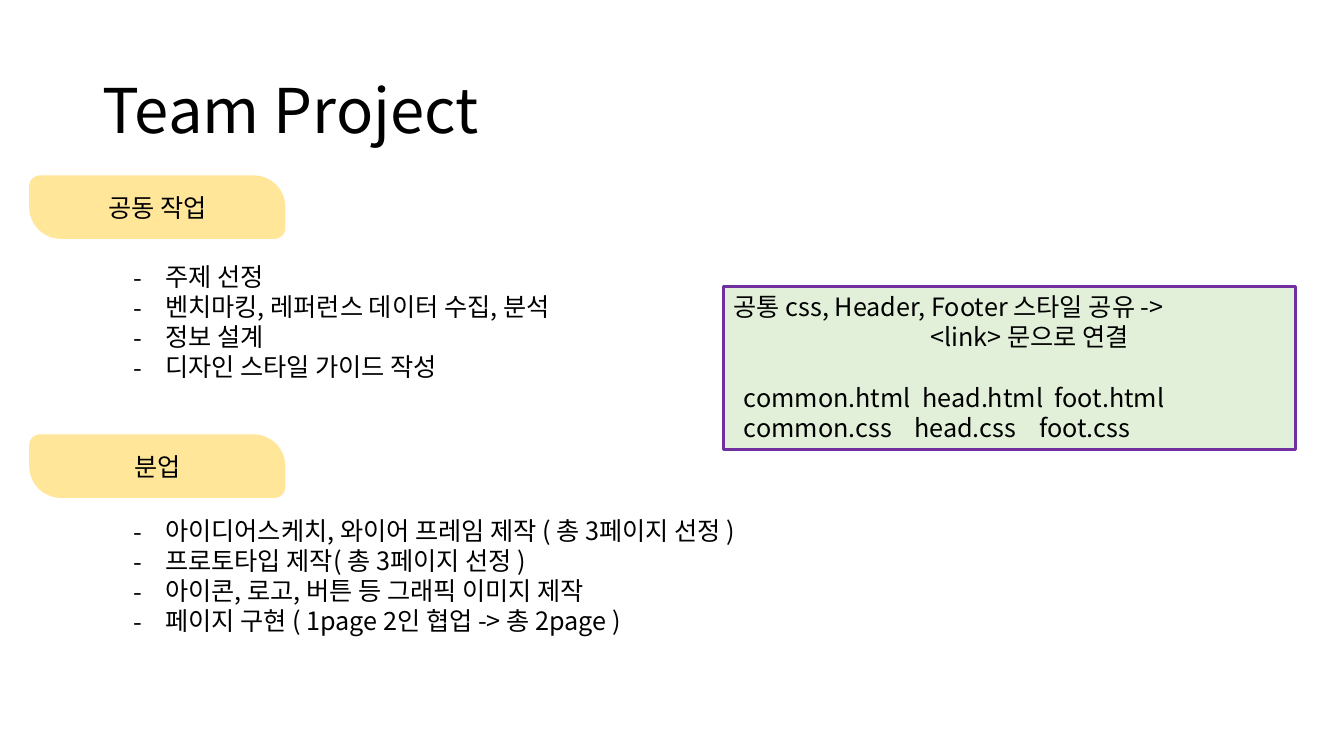
from lxml import etree
from pptx import Presentation
from pptx.dml.color import RGBColor
from pptx.enum.shapes import MSO_SHAPE
from pptx.enum.text import MSO_ANCHOR, MSO_AUTO_SIZE, PP_ALIGN
from pptx.oxml.ns import qn
from pptx.util import Inches, Pt

RECT = MSO_SHAPE.RECTANGLE
LEAF = MSO_SHAPE.ROUND_2_DIAG_RECTANGLE
MIDDLE = MSO_ANCHOR.MIDDLE
GROW = MSO_AUTO_SIZE.SHAPE_TO_FIT_TEXT
LEFT, CENTER = PP_ALIGN.LEFT, PP_ALIGN.CENTER

FONT = "Noto Sans CJK KR"
BLACK = RGBColor(0x00, 0x00, 0x00)
YELLOW = RGBColor(0xFF, 0xE6, 0x99)
GREEN = RGBColor(0xE2, 0xF0, 0xD9)
PURPLE = RGBColor(0x70, 0x30, 0xA0)

SECTIONS = [
    (1.74, 2.54, 4.77, "공동 작업", [
        "주제 선정",
        "벤치마킹, 레퍼런스 데이터 수집, 분석",
        "정보 설계",
        "디자인 스타일 가이드 작성",
    ]),
    (4.31, 5.06, 6.88, "분업", [
        "아이디어스케치, 와이어 프레임 제작 ( 총 3페이지 선정 )",
        "프로토타입 제작( 총 3페이지 선정 )",
        "아이콘, 로고, 버튼 등 그래픽 이미지 제작",
        "페이지 구현 ( 1page 2인 협업 -> 총 2page )",
    ]),
]

SHARED_FILES = [
    ("공통 css, Header, Footer 스타일 공유 ->", []),
    ("\t<link> 문으로 연결", [1.95]),
    ("\tcommon.html\thead.html\tfoot.html", [0.1, 1.87, 3.18]),
    ("\tcommon.css\thead.css\tfoot.css", [0.1, 1.79, 3.03]),
]


def style(p, size=18, align=LEFT):
    p.alignment = align
    for r in p.runs:
        r.font.size = Pt(size)
        r.font.name = FONT
        r.font.color.rgb = BLACK
        etree.SubElement(r.font._element, qn("a:ea"), typeface=FONT)


prs = Presentation()
prs.slide_width = Inches(13.33)
prs.slide_height = Inches(7.5)
s = prs.slides.add_slide(prs.slide_layouts[6])

title = s.shapes.add_textbox(Inches(0.92), Inches(0.4), Inches(11.5), Inches(1.45))
tf = title.text_frame
tf.word_wrap = True
tf.vertical_anchor = MIDDLE
tf.text = "Team Project"
tf.paragraphs[0].line_spacing = 0.9
style(tf.paragraphs[0], 44)

for label_top, list_top, list_width, label, tasks in SECTIONS:
    box = s.shapes.add_textbox(Inches(1.23), Inches(list_top), Inches(list_width), Inches(1.31))
    tf = box.text_frame
    tf.word_wrap = False
    tf.auto_size = GROW
    for i, task in enumerate(tasks):
        p = tf.add_paragraph() if i else tf.paragraphs[0]
        p.text = task
        pPr = p._p.get_or_add_pPr()
        pPr.set("marL", str(Inches(0.31)))
        pPr.set("indent", str(-Inches(0.31)))
        etree.SubElement(pPr, qn("a:buFont"), typeface=FONT)
        etree.SubElement(pPr, qn("a:buChar"), char="-")
        style(p)

    sp = s.shapes.add_shape(LEAF, Inches(0.29), Inches(label_top), Inches(2.54), Inches(0.63))
    sp.adjustments[0] = 0.167
    sp.adjustments[1] = 0.5
    sp.shadow.inherit = False
    sp.fill.solid()
    sp.fill.fore_color.rgb = YELLOW
    sp.line.fill.background()
    tf = sp.text_frame
    tf.vertical_anchor = MIDDLE
    tf.text = label
    style(tf.paragraphs[0], align=CENTER)

sp = s.shapes.add_shape(RECT, Inches(7.18), Inches(2.84), Inches(5.67), Inches(1.62))
sp.shadow.inherit = False
sp.fill.solid()
sp.fill.fore_color.rgb = GREEN
sp.line.color.rgb = PURPLE
sp.line.width = Pt(2.25)
tf = sp.text_frame
tf.word_wrap = True
tf.vertical_anchor = MSO_ANCHOR.TOP
for i, (text, stops) in enumerate(SHARED_FILES):
    p = tf.add_paragraph() if i else tf.paragraphs[0]
    p.text = text
    if stops:
        tabs = etree.SubElement(p._p.get_or_add_pPr(), qn("a:tabLst"))
        for stop in stops:
            etree.SubElement(tabs, qn("a:tab"), pos=str(Inches(stop)), algn="l")
    style(p)
tf.paragraphs[2].space_before = Pt(21.8)

prs.save("out.pptx")
